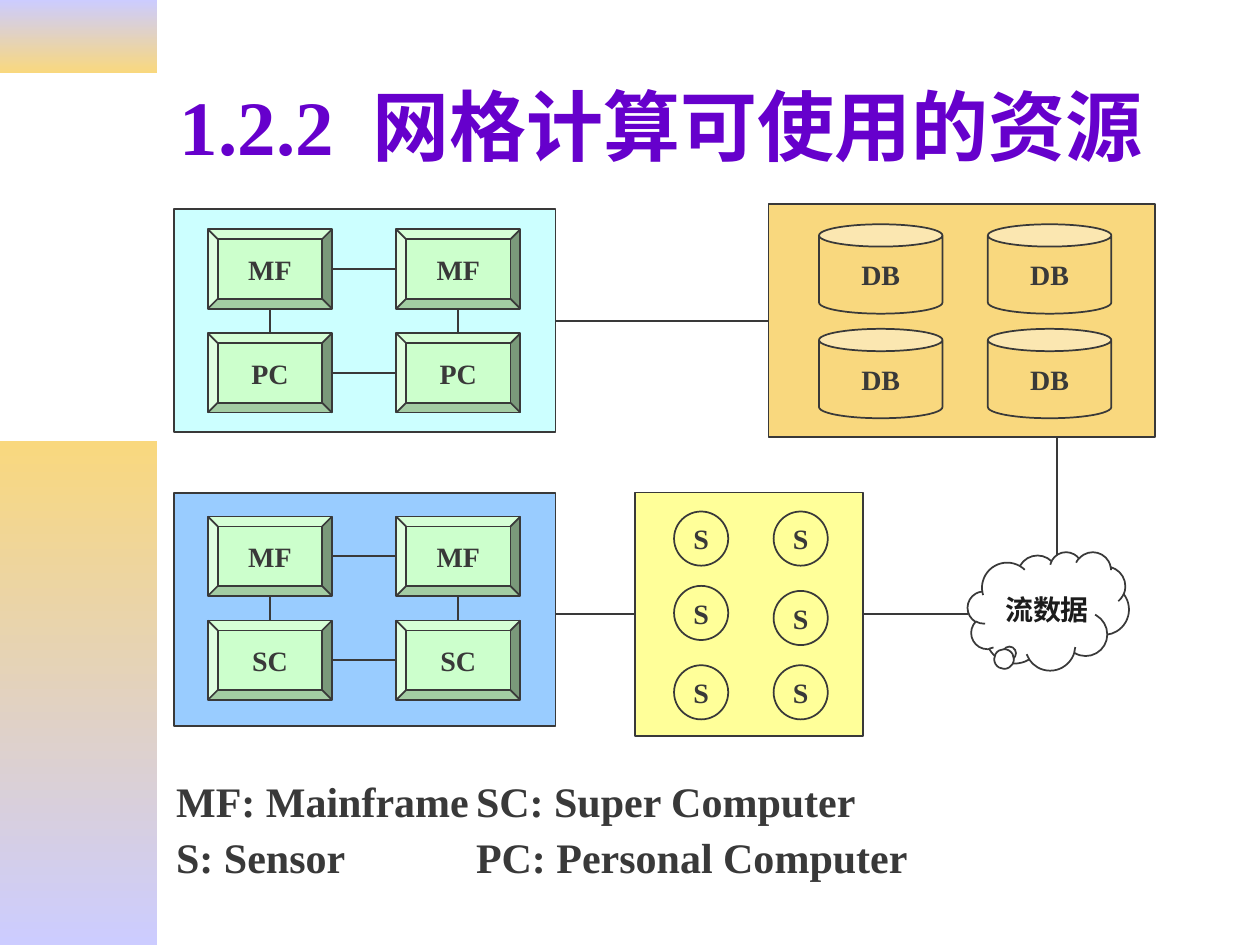
from itertools import product

from lxml.etree import SubElement
from pptx import Presentation
from pptx.dml.color import RGBColor
from pptx.enum.shapes import MSO_CONNECTOR as LINE, MSO_SHAPE as SHAPE
from pptx.enum.text import MSO_ANCHOR as ANCHOR, PP_ALIGN as ALIGN
from pptx.oxml.ns import qn
from pptx.util import Inches, Pt

INK, PURPLE, BLACK = "393939", "6600CC", "1C1C1C"
LILAC, GOLD, MINT, WHITE = "CCCCFF", "F9D87E", "CCFFCC", "FFFFFF"
AQUA, BLUE, YELLOW = "CCFFFF", "99CCFF", "FFFF99"
FONT = "Times New Roman"
COLS, ROWS = 100, 75
NODE_W, NODE_H, NODE_STEP = 9.85, 6.3, (14.95, 8.25)


def rgb(value):
    return RGBColor.from_string(value)


class Board:
    """Draw styled elements on one slide, in columns and rows of a 100 by 75 grid."""

    def __init__(self, prs):
        self.slide = prs.slides.add_slide(prs.slide_layouts[6])
        self.shapes = self.slide.shapes
        self.col = prs.slide_width / COLS
        self.row = prs.slide_height / ROWS

    def at(self, x, y, w, h):
        return (round(x * self.col), round(y * self.row),
                round(w * self.col), round(h * self.row))

    def style(self, p, size, color):
        font = p.font
        font.name, font.size, font.bold = FONT, Pt(size), True
        font.color.rgb = rgb(color)

    def shape(self, kind, box, fill=None, text=""):
        sp = self.shapes.add_shape(kind, *self.at(*box))
        sp.shadow.inherit = False
        if fill:
            sp.fill.solid()
            sp.fill.fore_color.rgb = rgb(fill)
        else:
            sp.fill.background()
        sp.line.color.rgb, sp.line.width = rgb(INK), Pt(1)
        if text:
            tf = sp.text_frame
            tf.word_wrap, tf.vertical_anchor = False, ANCHOR.MIDDLE
            p = tf.paragraphs[0]
            p.text, p.alignment = text, ALIGN.CENTER
            self.style(p, 16, INK)
        return sp

    def band(self, box, *colors):
        sp = self.shape(SHAPE.RECTANGLE, box)
        sp.line.fill.background()
        sp.fill.gradient()
        sp.fill.gradient_angle = 270
        for stop, color in zip(sp.fill.gradient_stops, colors):
            stop.color.rgb = rgb(color)

    def text(self, box, lines, size, color, anchor=ANCHOR.TOP,
             align=ALIGN.LEFT, tabs=(), spacing=1.0, gap=0):
        tf = self.shapes.add_textbox(*self.at(*box)).text_frame
        tf.word_wrap, tf.vertical_anchor = True, anchor
        for i, line in enumerate(lines):
            p = tf.paragraphs[0] if i == 0 else tf.add_paragraph()
            for part in line:
                p.add_run().text = part
            p.alignment, p.line_spacing = align, spacing
            p.space_before = Pt(gap if i else 0)
            if tabs:
                tab_list = SubElement(p._p.get_or_add_pPr(), qn("a:tabLst"))
                for tab in tabs:
                    SubElement(tab_list, qn("a:tab"), pos=str(Inches(tab)), algn="l")
            self.style(p, size, color)
        return tf

    def line(self, x1, y1, x2, y2, begin=None, end=None):
        c = self.shapes.add_connector(LINE.STRAIGHT, *self.at(x1, y1, x2, y2))
        c.line.color.rgb, c.line.width = rgb(INK), Pt(1)
        SubElement(c._element.spPr, qn("a:effectLst"))
        if begin:
            c.begin_connect(*begin)
        if end:
            c.end_connect(*end)

    def cluster(self, panel, fill, top, names):
        sp = self.shape(SHAPE.RECTANGLE, panel, fill)
        dx, dy = NODE_STEP
        xs, ys = (16.5, 16.5 + dx), (top, top + dy)
        for (y, name), x in product(zip(ys, names), xs):
            self.shape(SHAPE.BEVEL, (x, y, NODE_W, NODE_H), MINT, name)
        for y in ys:
            mid = y + NODE_H / 2
            self.line(xs[0] + NODE_W, mid, xs[1], mid)
        for x in xs:
            mid = x + NODE_W / 2
            self.line(mid, ys[0] + NODE_H, mid, ys[1])
        return sp


def main():
    prs = Presentation()
    prs.slide_width, prs.slide_height = Inches(10), Inches(7.5)
    s = Board(prs)

    s.band((0, 0, 12.5, 5.8), LILAC, GOLD)
    s.band((0, 35, 12.5, 40), GOLD, LILAC)

    title = s.text((13.3, 3.3, 85, 13.2), [("1.2.2", " ", "网格计算可使用的资源")],
                   44, PURPLE, ANCHOR.MIDDLE)
    title.paragraphs[0].runs[1]._r.get_or_add_rPr().set("spc", "1100")
    s.text((13, 61.5, 87, 9.1),
           [("MF: Mainframe\tSC: Super Computer",),
            ("S: Sensor\t\tPC: Personal Computer",)],
           24, INK, tabs=(1.38, 2.38), spacing=0.9, gap=6)

    computers = s.cluster((13.8, 16.6, 30.3, 17.7), AQUA, 18.2, ("MF", "PC"))
    s.cluster((13.8, 39.1, 30.3, 18.5), BLUE, 41, ("MF", "SC"))

    databases = s.shape(SHAPE.RECTANGLE, (61, 16.2, 30.7, 18.5), GOLD)
    for y, x in product((17.8, 26.1), (65, 78.4)):
        s.shape(SHAPE.CAN, (x, y, 9.8, 7.1), GOLD, "DB")

    sensors = s.shape(SHAPE.RECTANGLE, (50.4, 39.1, 18.1, 19.3), YELLOW)
    for x, ys in ((53.5, (40.6, 46.5, 52.8)), (61.4, (40.6, 46.9, 52.8))):
        for y in ys:
            s.shape(SHAPE.OVAL, (x, y, 4.3, 4.3), text="S")

    s.line(83.9, 34.7, 83.9, 44.2)
    cloud = s.shape(SHAPE.CLOUD_CALLOUT, (76.8, 43.8, 12.8, 9.4), WHITE)
    cloud.adjustments[0], cloud.adjustments[1] = -0.235, 0.347
    s.text((77.8, 46.5, 10.6, 3.7), [("流数据",)], 16, BLACK,
           ANCHOR.MIDDLE, ALIGN.CENTER)

    s.line(44.1, 25.45, 61, 25.45, (computers, 3), (databases, 1))
    s.line(44.1, 48.75, 50.4, 48.75, end=(sensors, 1))
    s.line(68.5, 48.75, 76.8, 48.75, begin=(sensors, 3))

    prs.save("out.pptx")


if __name__ == "__main__":
    main()
